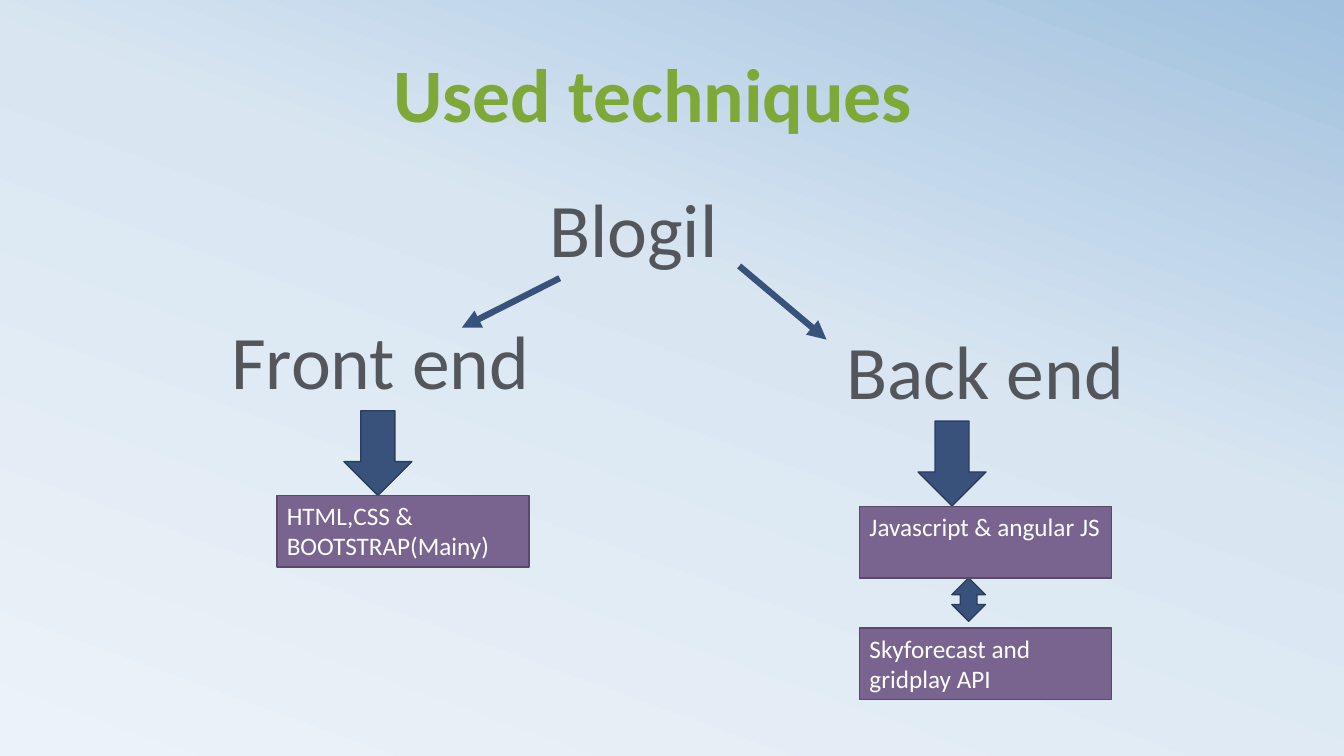
from dataclasses import dataclass

from lxml import etree
from pptx import Presentation
from pptx import util as u
from pptx.dml.color import RGBColor
from pptx.enum import dml, shapes, text
from pptx.oxml.ns import qn

COLORS = {
    "title": "7EA939", "heading": "53575C", "arrow": "39527B", "arrow_edge": "2A3D5B",
    "card": "78648E", "card_edge": "594A69", "card_text": "FFFFFF",
    "sky_light": "ECF3F8", "sky_mid": "D9E6F2", "sky_deep": "A1C1DE",
}
SKY_STOPS = [(0, "sky_light"), (58, "sky_mid"), (100, "sky_deep")]
FONT = "Calibri"
HEADING_HEIGHT = 72.7
CARD_SIZE = (180, 51)
DOWN_SIZE = (48.5, 60.6)
EXCHANGE_SIZE = (24, 31)


@dataclass(frozen=True)
class Heading:
    wording: str
    left: float
    top: float
    width: float
    color: str = "heading"
    bold: bool = False


@dataclass(frozen=True)
class Branch:
    start: tuple[float, float]
    end: tuple[float, float]


@dataclass(frozen=True)
class BlockArrow:
    kind: shapes.MSO_SHAPE
    left: float
    top: float
    size: tuple[float, float]


@dataclass(frozen=True)
class Card:
    wording: str
    left: float
    top: float


HEADINGS = [
    Heading("Used techniques", 265, 30.2, 403, "title", True),
    Heading("Blogil", 378, 126.2, 149),
    Heading("Front end ", 155.8, 221, 244),
    Heading("Back end", 594, 227.9, 219.6),
]
BRANCHES = [
    Branch((399.8, 198.7), (329.9, 234)),
    Branch((528, 190), (590.4, 242.6)),
]
BLOCK_ARROWS = [
    BlockArrow(shapes.MSO_SHAPE.DOWN_ARROW, 245.7, 293.4, DOWN_SIZE),
    BlockArrow(shapes.MSO_SHAPE.DOWN_ARROW, 655.8, 300.8, DOWN_SIZE),
    BlockArrow(shapes.MSO_SHAPE.UP_DOWN_ARROW, 679.9, 412.8, EXCHANGE_SIZE),
]
CARDS = [
    Card("HTML,CSS & BOOTSTRAP(Mainy)", 197.8, 353.9),
    Card("Javascript & angular JS", 614, 361.9),
    Card("Skyforecast and gridplay API", 614, 448.5),
]


def rgb(name: str) -> RGBColor:
    return RGBColor.from_string(COLORS[name])


def paint_sky(slide) -> None:
    fill = slide.background.fill
    fill.gradient()
    fill.gradient_angle = 70
    stops = next(slide.element.iter(qn("a:gsLst")))
    for stop in list(stops):
        stops.remove(stop)
    for percent, color in SKY_STOPS:
        stop = etree.SubElement(stops, qn("a:gs"), pos=str(percent * 1000))
        etree.SubElement(stop, qn("a:srgbClr"), val=COLORS[color])


def write(frame, wording: str, size: float, color: str, align, bold: bool = False) -> None:
    frame.auto_size = text.MSO_AUTO_SIZE.SHAPE_TO_FIT_TEXT
    frame.vertical_anchor = text.MSO_ANCHOR.TOP
    paragraph = frame.paragraphs[0]
    paragraph.alignment = align
    run = paragraph.add_run()
    run.text = wording
    run.font.name = FONT
    run.font.size = u.Pt(size)
    run.font.bold = bold
    run.font.color.rgb = rgb(color)


def draw_heading(slide, heading: Heading) -> None:
    box = slide.shapes.add_textbox(
        u.Pt(heading.left), u.Pt(heading.top), u.Pt(heading.width), u.Pt(HEADING_HEIGHT))
    box.text_frame.word_wrap = False
    write(box.text_frame, heading.wording, 54, heading.color, text.PP_ALIGN.CENTER, heading.bold)


def draw_branch(slide, branch: Branch) -> None:
    arrow = slide.shapes.add_connector(
        shapes.MSO_CONNECTOR.STRAIGHT, *map(u.Pt, branch.start + branch.end))
    arrow.line.width = u.Pt(4.5)
    arrow.line.fill.solid()
    arrow.line.color.rgb = rgb("arrow")
    arrow.line.dash_style = dml.MSO_LINE.SOLID
    properties = arrow.element.spPr
    etree.SubElement(properties.find(qn("a:ln")), qn("a:tailEnd"), type="triangle")
    etree.SubElement(properties, qn("a:effectLst"))


def draw_block(slide, kind, left: float, top: float, size: tuple[float, float], color: str):
    block = slide.shapes.add_shape(kind, *map(u.Pt, (left, top, *size)))
    block.shadow.inherit = False
    block.fill.solid()
    block.fill.fore_color.rgb = rgb(color)
    block.line.color.rgb = rgb(f"{color}_edge")
    block.line.width = u.Pt(1)
    return block


def draw_card(slide, card: Card) -> None:
    block = draw_block(
        slide, shapes.MSO_SHAPE.RECTANGLE, card.left, card.top, CARD_SIZE, "card")
    block.text_frame.word_wrap = True
    write(block.text_frame, card.wording, 18, "card_text", text.PP_ALIGN.LEFT)


def main() -> None:
    """Build the slide of techniques behind the front end and the back end."""
    deck = Presentation()
    deck.slide_width, deck.slide_height = u.Pt(960), u.Pt(540)
    slide = deck.slides.add_slide(deck.slide_layouts[6])
    paint_sky(slide)
    for heading in HEADINGS:
        draw_heading(slide, heading)
    for branch in BRANCHES:
        draw_branch(slide, branch)
    for arrow in BLOCK_ARROWS:
        draw_block(slide, arrow.kind, arrow.left, arrow.top, arrow.size, "arrow")
    for card in CARDS:
        draw_card(slide, card)
    deck.save("out.pptx")


if __name__ == "__main__":
    main()
